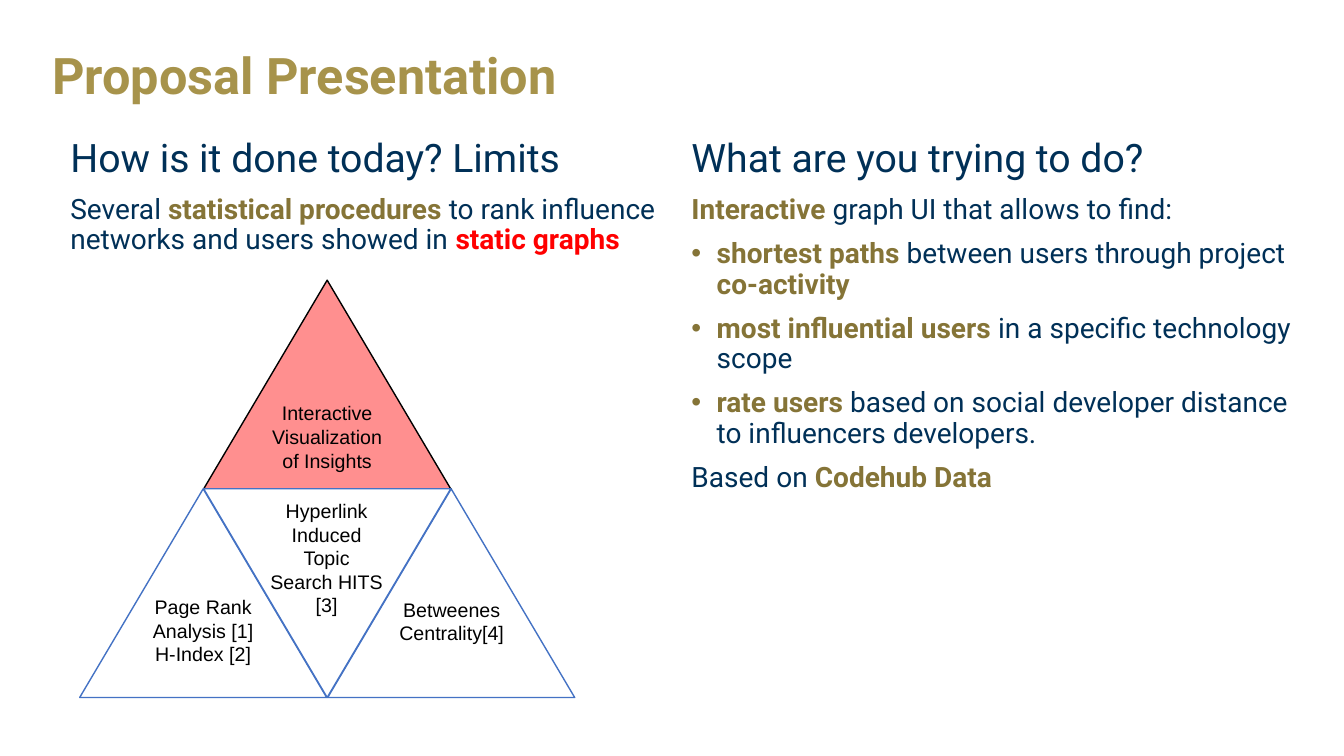
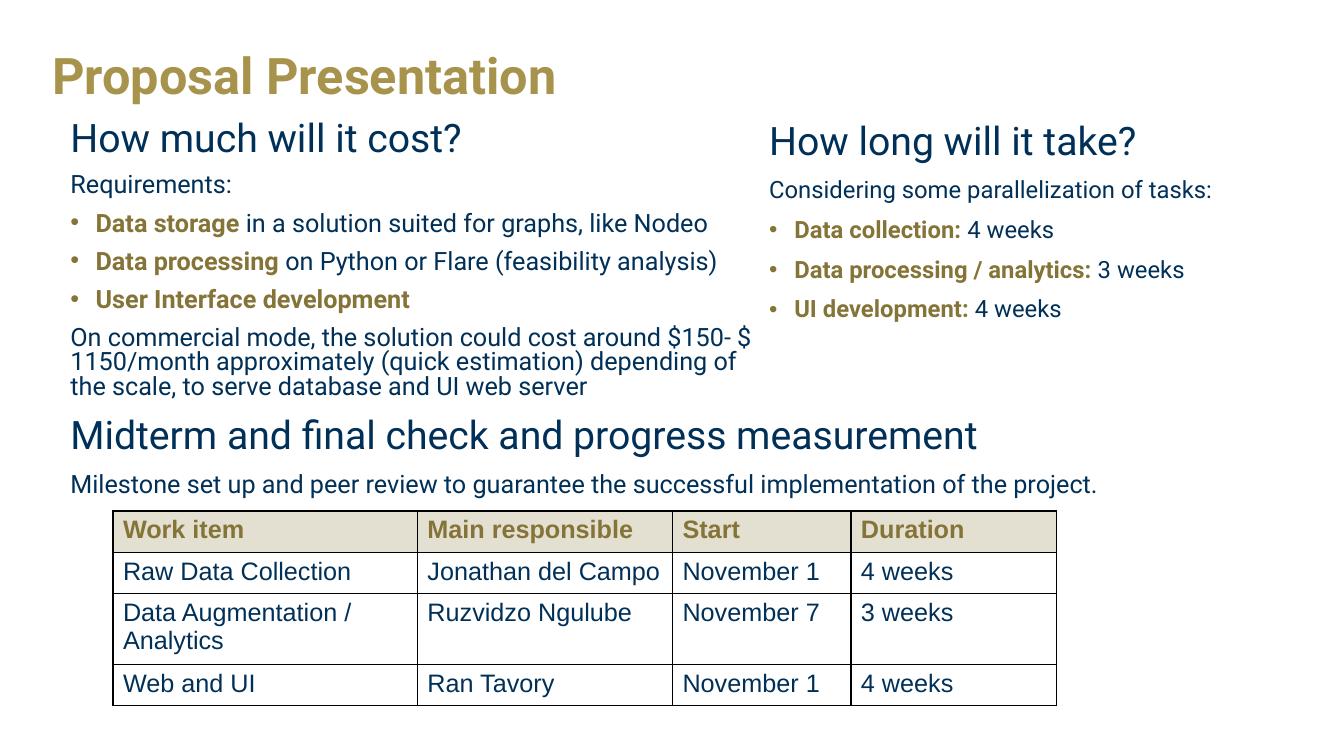
from collections import namedtuple

from lxml.etree import SubElement
from pptx import Presentation
from pptx.dml.color import RGBColor
from pptx.enum.shapes import MSO_SHAPE as Shape
from pptx.enum.text import MSO_ANCHOR as Anchor, PP_ALIGN as Align
from pptx.oxml import parse_xml
from pptx.oxml.ns import nsdecls, qn
from pptx.util import Inches, Pt

NAVY, GOLD, TITLE_GOLD, PALE_GOLD = "003057", "857437", "A7934B", "E3DFD1"
RED, PINK, BLUE, BLACK, WHITE = "FF0000", "FF8F8F", "4472C4", "000000", "FFFFFF"

Span = namedtuple("Span", "text colour bold")
Line = namedtuple("Line", "spans bulleted")


def rgb(hex_string):
    return RGBColor.from_string(hex_string)


def strong(text, colour=GOLD):
    return Span(text, colour, True)


def line(*spans, bulleted=False):
    return Line([Span(span, NAVY, False) if isinstance(span, str) else span
                 for span in spans], bulleted)


def bullet(*spans):
    return line(*spans, bulleted=True)


class Slides:
    heading_font, label_font = "Roboto", "Arial"

    def __init__(self):
        self.deck = Presentation()
        self.deck.slide_width, self.deck.slide_height = Inches(13.33), Inches(7.5)
        self.slide = None

    def start(self, title):
        self.slide = self.deck.slides.add_slide(self.deck.slide_layouts[6])
        frame = self.text_frame(0.42, 0.22, 12.5, 1.11)
        frame.vertical_anchor = Anchor.MIDDLE
        self.fill_para(frame.paragraphs[0], line(strong(title, TITLE_GOLD)), 36, 0.9, 0)

    def text_frame(self, *place):
        box = self.slide.shapes.add_textbox(*map(Inches, place))
        box.text_frame.word_wrap = True
        return box.text_frame

    def style(self, span, size, colour, font, bold=False):
        span.font.size, span.font.name, span.font.bold = Pt(size), font, bold
        span.font.color.rgb = rgb(colour)

    def fill_para(self, para, content, size, spacing, before=10):
        para.line_spacing, para.space_before = spacing, Pt(before)
        for text, colour, bold in content.spans:
            span = para.add_run()
            span.text = text
            self.style(span, size, colour, self.heading_font, bold)
        if content.bulleted:
            props = para._p.get_or_add_pPr()
            props.set("marL", str(Inches(0.25)))
            props.set("indent", str(-Inches(0.25)))
            SubElement(props, qn("a:buFont")).set("typeface", self.label_font)
            SubElement(props, qn("a:buChar")).set("char", "•")

    def section(self, place, heading, lines, size, spacing=0.9):
        frame = self.text_frame(*place)
        self.fill_para(frame.paragraphs[0], line(heading), 28, spacing)
        for content in lines:
            self.fill_para(frame.add_paragraph(), content, size, spacing)

    def label(self, frame, text):
        frame.text = text
        for para in frame.paragraphs:
            para.alignment = Align.CENTER
            for span in para.runs:
                self.style(span, 14, BLACK, self.label_font)

    def triangle(self, left, top, fill=WHITE, outline=BLUE, inverted=False):
        shape = self.slide.shapes.add_shape(
            Shape.ISOSCELES_TRIANGLE, *map(Inches, (left, top, 2.45, 2.07)))
        shape.shadow.inherit = False
        shape.fill.solid()
        shape.fill.fore_color.rgb = rgb(fill)
        shape.line.color.rgb = rgb(outline)
        shape.line.width = Pt(1)
        if inverted:
            shape._element.spPr.get_or_add_xfrm().set("flipV", "1")
        shape.text_frame.vertical_anchor = Anchor.MIDDLE
        return shape.text_frame

    def border(self, cell):
        props = cell._tc.get_or_add_tcPr()
        for index, side in enumerate("LRTB"):
            props.insert(index, parse_xml(
                f'<a:ln{side} {nsdecls("a")} w="{Pt(1)}"><a:solidFill>'
                f'<a:srgbClr val="{BLACK}"/></a:solidFill></a:ln{side}>'))

    def table(self, left, top, widths, heights, rows):
        table = self.slide.shapes.add_table(
            len(rows), len(widths), Inches(left), Inches(top),
            Inches(sum(widths)), Inches(sum(heights))).table
        for column, width in zip(table.columns, widths):
            column.width = Inches(width)
        for index, (row, height, texts) in enumerate(zip(table.rows, heights, rows)):
            row.height = Inches(height)
            header = index == 0
            for cell, text in zip(row.cells, texts):
                cell.text = text
                self.style(cell.text_frame.paragraphs[0].runs[0], 18,
                           GOLD if header else NAVY, self.label_font, header)
                cell.fill.solid()
                cell.fill.fore_color.rgb = rgb(PALE_GOLD if header else WHITE)
                self.border(cell)


def build_goals(slides):
    slides.start("Proposal Presentation")
    slides.section((6.76, 1.33, 6.16, 3.72), "What are you trying to do?", [
        line(strong("Interactive"), " graph UI that allows to find:"),
        bullet(strong("shortest paths "), "between users through project ",
               strong("co-activity")),
        bullet(strong("most influential users "), "in a specific technology scope"),
        bullet(strong("rate users "),
               "based on social developer distance to influencers developers."),
        line("Based on ", strong("Codehub Data")),
    ], 20)
    slides.section((0.6, 1.33, 6.16, 1.3), "How is it done today? Limits", [
        line("Several ", strong("statistical procedures "),
             "to rank influence networks and users showed in ",
             strong("static graphs", RED)),
    ], 20)

    left, top, half, height = 0.79, 2.78, 1.23, 2.07
    base = top + height
    slides.triangle(left + 2 * half, base)
    ranking = slides.triangle(left, base)
    ranking.margin_bottom = Inches(0.35)
    slides.label(ranking, "Page Rank Analysis [1]\nH-Index [2]")
    insights = slides.triangle(left + half, top, PINK, BLACK)
    insights.margin_left = insights.margin_right = Inches(0.02)
    insights.margin_top = insights.margin_bottom = Inches(0.02)
    slides.label(insights, "Interactive Visualization of Insights")
    slides.triangle(left + half, base, inverted=True)
    slides.label(slides.text_frame(2.55, 4.9, 1.38, 1.28),
                 "Hyperlink\nInduced\nTopic\nSearch HITS\n[3]")
    slides.label(slides.text_frame(3.79, 5.88, 1.38, 0.58), "Betweenes Centrality[4]")


def build_plan(slides):
    slides.start("Proposal Presentation")
    slides.section((7.53, 1.16, 5.6, 3.72), "How long will it take?", [
        line("Considering some parallelization of tasks:"),
        bullet(strong("Data collection: "), "4 weeks"),
        bullet(strong("Data processing / analytics:"), " 3 weeks"),
        bullet(strong("UI development: "), "4 weeks"),
    ], 17)
    slides.section((0.6, 1.17, 6.98, 3.03), "How much will it cost?", [
        line("Requirements:"),
        bullet(strong("Data storage "),
               "in a solution suited for graphs, like Nodeo"),
        bullet(strong("Data processing "),
               "on Python or Flare (feasibility analysis)"),
        bullet(strong("User Interface development")),
        line("On commercial mode, the solution could cost around $150- $ 1150/month "
             "approximately (quick estimation) depending of the scale, to serve "
             "database and UI web server"),
    ], 18, 0.8)
    slides.section((0.6, 4.07, 11.53, 1), "Midterm and final check and progress measurement", [
        line("Milestone set up and peer review to guarantee the successful "
             "implementation of the project."),
    ], 18)
    slides.table(1.12, 5.07, [3.02, 2.53, 1.77, 2.04], [0.41, 0.41, 0.65, 0.41], [
        ["Work item", "Main responsible", "Start", "Duration"],
        ["Raw Data Collection", "Jonathan del Campo", "November 1", "4 weeks"],
        ["Data Augmentation / Analytics", "Ruzvidzo Ngulube", "November 7", "3 weeks"],
        ["Web and UI", "Ran Tavory", "November 1", "4 weeks"],
    ])


def main():
    slides = Slides()
    build_goals(slides)
    build_plan(slides)
    slides.deck.save("out.pptx")


if __name__ == "__main__":
    main()
